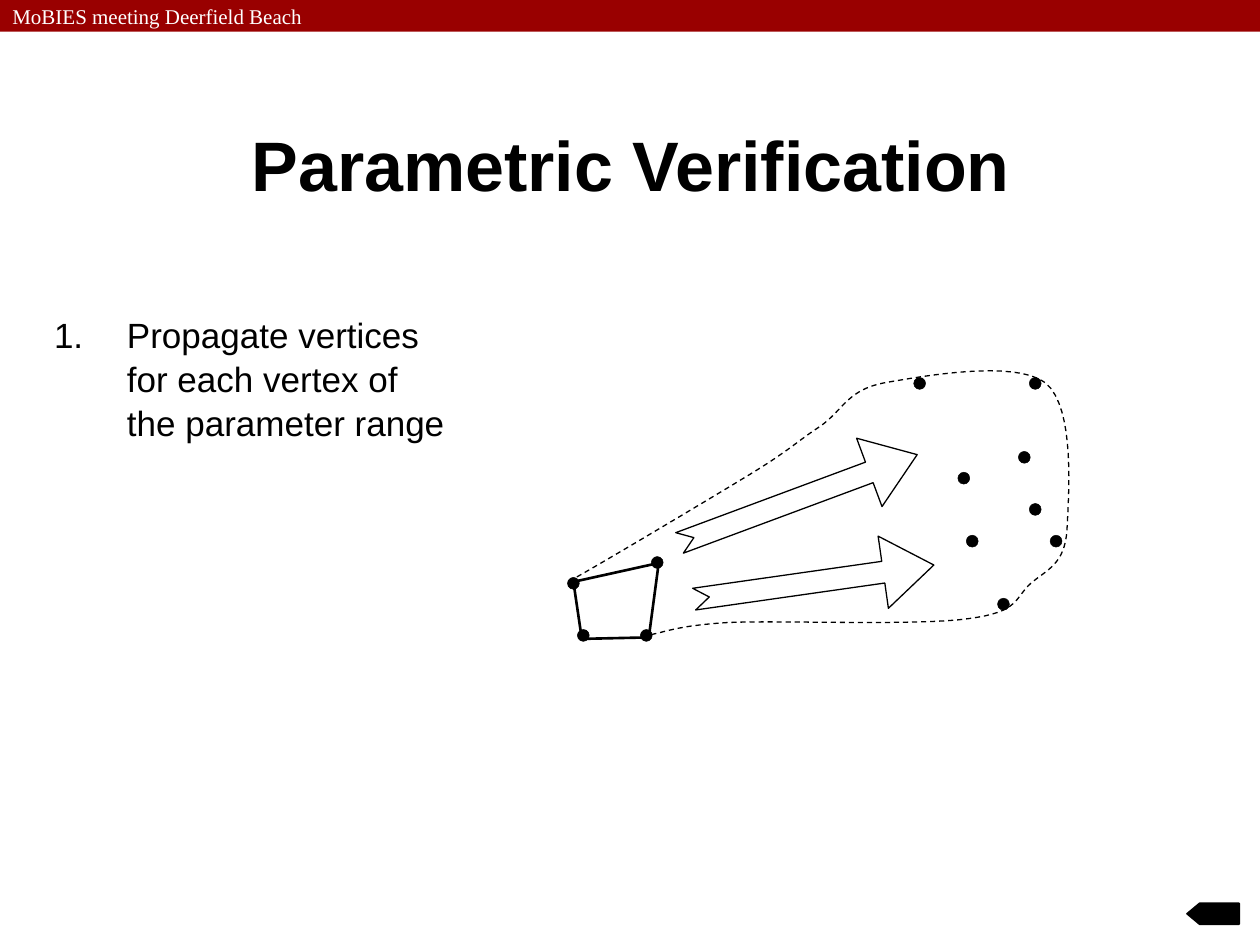
"""Builds the slide on parametric verification with a reach set diagram."""
from lxml import etree
from pptx import Presentation, util as u
from pptx.dml.color import RGBColor
from pptx.enum import dml, shapes, text
from pptx.oxml.ns import qn

BLACK = RGBColor(0x00, 0x00, 0x00)
WHITE = RGBColor(0xFF, 0xFF, 0xFF)
DARK_RED = RGBColor(0x99, 0x00, 0x00)

SHAPE = shapes.MSO_SHAPE
CENTER = text.PP_ALIGN.CENTER
LEFT = text.PP_ALIGN.LEFT
MIDDLE = text.MSO_ANCHOR.MIDDLE
TOP = text.MSO_ANCHOR.TOP

DOT = 0.24
INITIAL_SET = [(11.56, 11.73), (11.73, 12.88), (13.08, 12.85), (13.28, 11.35)]
INITIAL_VERTICES = [(11.56, 11.76), (11.76, 12.81), (13.25, 11.34), (13.03, 12.81)]
REACHED_VERTICES = [
    (18.54, 7.73), (19.43, 9.64), (20.87, 7.73), (20.65, 9.22),
    (19.6, 10.91), (20.23, 12.18), (20.87, 10.27), (21.29, 10.91),
]
HULL_START = (11.63, 11.63)
HULL_CURVES = [
    [(12.22, 11.3), (14.27, 10.08), (15.09, 9.58)],
    [(15.93, 9.07), (16.08, 8.89), (16.54, 8.59)],
    [(16.99, 8.28), (17.07, 7.87), (17.81, 7.72)],
    [(18.57, 7.59), (20.45, 7.24), (21.08, 7.72)],
    [(21.69, 8.23), (21.54, 10.03), (21.51, 10.69)],
    [(21.46, 11.38), (21.11, 11.48), (20.78, 11.76)],
    [(20.45, 12.06), (20.55, 12.34), (19.53, 12.47)],
    [(18.52, 12.62), (15.75, 12.5), (14.66, 12.55)],
    [(13.59, 12.62), (13.41, 12.75), (13.08, 12.8)],
]
FLOW_ARROWS = [((13.54, 9.32, 5.11, 1.47), 339.6), ((13.97, 11, 4.88, 1.47), 351.9)]


def apply(target, values):
    """Set each named attribute of the target."""
    for name, value in values.items():
        setattr(target, name, value)


def bezier_points(start, curves, steps=16):
    """Return points along a chain of cubic curves."""
    points = [start]
    for first, second, end in curves:
        begin = points[-1]
        for step in range(1, steps + 1):
            t = step / steps
            weights = ((1 - t) ** 3, 3 * t * (1 - t) ** 2, 3 * t * t * (1 - t), t ** 3)
            corners = list(zip(begin, first, second, end))
            points.append(tuple(sum(w * c for w, c in zip(weights, axis)) for axis in corners))
    return points


class SlideBuilder:
    """Holds the text style and the current slide."""

    font = {"name": "Arial", "bold": False, "size": u.Pt(20)}

    def __init__(self, slide):
        self.slide = slide

    def paint(self, item, fill=None, line=None, dash=None):
        item.shadow.inherit = False
        if fill is None:
            item.fill.background()
        else:
            item.fill.solid()
            item.fill.fore_color.rgb = fill
        if line is None:
            item.line.fill.background()
        else:
            item.line.color.rgb = BLACK
            apply(item.line, {"width": u.Pt(line), "dash_style": dash})
        return item

    def preset(self, kind, box, fill=None, line=None, turn=0, adjust=()):
        item = self.slide.shapes.add_shape(kind, *map(u.Cm, box))
        item.rotation = turn
        for index, value in enumerate(adjust):
            item.adjustments[index] = value
        return self.paint(item, fill, line)

    def dot(self, x, y):
        self.preset(SHAPE.OVAL, (x - DOT / 2, y - DOT / 2, DOT, DOT), BLACK, 0.25)

    def outline(self, points, line, close=False, dash=None):
        start, *rest = [(u.Cm(x), u.Cm(y)) for x, y in points]
        pen = self.slide.shapes.build_freeform(*start)
        pen.add_line_segments(rest, close=close)
        self.paint(pen.convert_to_shape(), None, line, dash)

    def label(self, frame, words, color=BLACK, align=LEFT, anchor=TOP, **font):
        apply(frame, {"word_wrap": True, "vertical_anchor": anchor})
        paragraph = frame.paragraphs[0]
        paragraph.alignment = align
        run = paragraph.add_run()
        run.text = words
        apply(run.font, {**self.font, **font})
        run.font.color.rgb = color
        return paragraph

    def text_box(self, box, words, **style):
        frame = self.slide.shapes.add_textbox(*map(u.Cm, box)).text_frame
        return self.label(frame, words, **style)

    def numbered(self, box, words):
        paragraph = self.text_box(box, words)
        paragraph.line_spacing = 1.05
        properties = paragraph._p.get_or_add_pPr()
        for name, value in {"marL": u.Cm(1.47), "indent": u.Cm(-1.47)}.items():
            properties.set(name, str(value))
        etree.SubElement(properties, qn("a:buFont"), typeface="Arial")
        etree.SubElement(properties, qn("a:buAutoNum"), type="arabicPeriod")


def main():
    deck = Presentation()
    apply(deck, {"slide_width": u.Cm(25.4), "slide_height": u.Cm(19.05)})
    builder = SlideBuilder(deck.slides.add_slide(deck.slide_layouts[6]))

    banner = builder.preset(SHAPE.RECTANGLE, (0, 0, 25.4, 0.64), DARK_RED)
    builder.label(banner.text_frame, "MoBIES meeting Deerfield Beach", WHITE,
                  anchor=MIDDLE, name="Times New Roman", size=u.Pt(12))
    builder.text_box((1.07, 1.7, 23.29, 3.18), "Parametric Verification",
                     align=CENTER, anchor=MIDDLE, size=u.Pt(40), bold=True)
    builder.numbered((0.84, 6.15, 8.46, 11.43),
                     "Propagate vertices for each vertex of the parameter range")

    builder.outline(INITIAL_SET, 1.5, close=True)
    builder.outline(bezier_points(HULL_START, HULL_CURVES), 0.75,
                    dash=dml.MSO_LINE.DASH)
    for vertex in INITIAL_VERTICES + REACHED_VERTICES:
        builder.dot(*vertex)
    for box, turn in FLOW_ARROWS:
        builder.preset(SHAPE.NOTCHED_RIGHT_ARROW, box, None, 0.75, turn, (0.3, 0.7))
    builder.preset(SHAPE.PENTAGON, (23.93, 18.21, 1.05, 0.42), BLACK, 1, 180, (0.6,))

    deck.save("out.pptx")


if __name__ == "__main__":
    main()
